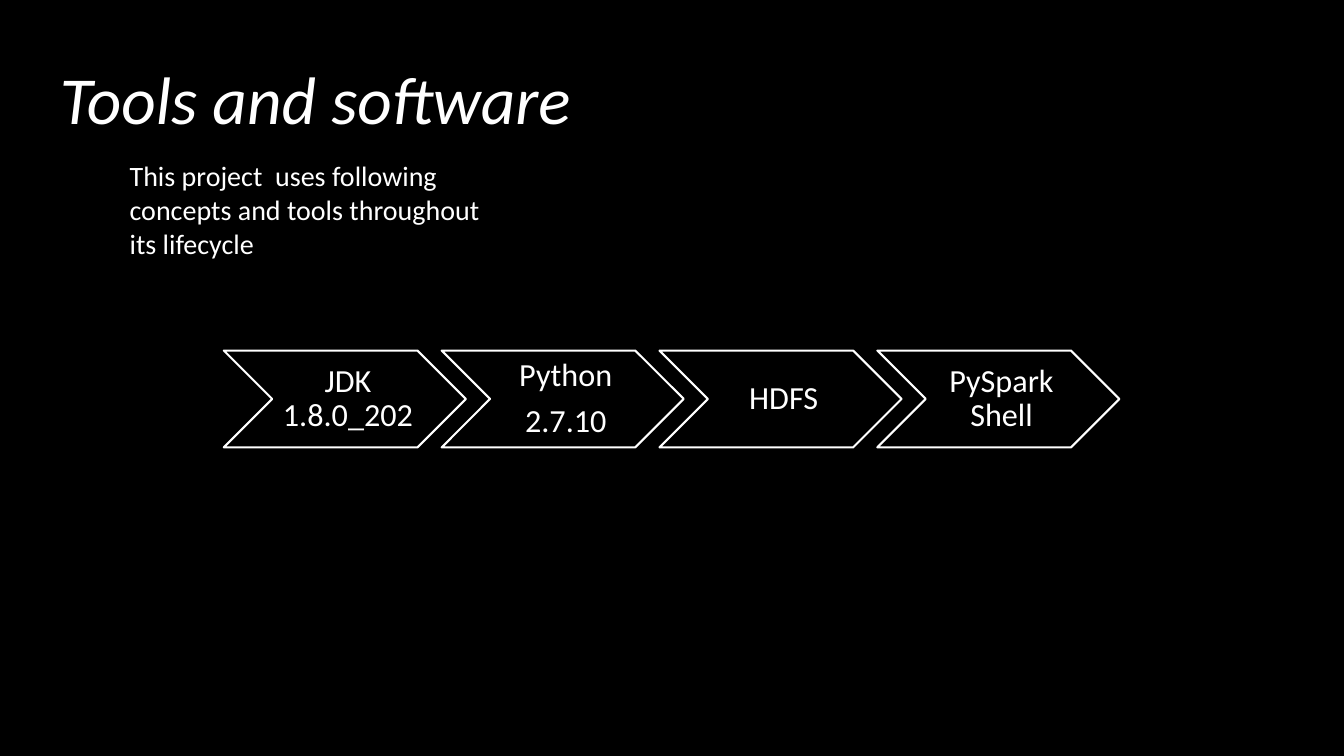
"""Build the "Tools and software" slide with its chain of chevrons."""
from pptx import Presentation
from pptx.dml.color import RGBColor
from pptx.enum.shapes import MSO_SHAPE
from pptx.enum.text import MSO_ANCHOR, PP_ALIGN
from pptx.util import Pt

CHEVRON = MSO_SHAPE.CHEVRON
BOTTOM, MIDDLE = MSO_ANCHOR.BOTTOM, MSO_ANCHOR.MIDDLE
LEFT, CENTER = PP_ALIGN.LEFT, PP_ALIGN.CENTER
COLORS = {"background": "000000", "foreground": "FFFFFF"}
WHITE = RGBColor.from_string(COLORS["foreground"])
TOOLS = ["JDK 1.8.0_202", "Python\n2.7.10", "HDFS", "PySpark Shell"]
INTRO = "This project  uses following\nconcepts and tools throughout\nits lifecycle"


def write(frame, text, size, align):
    frame.word_wrap = True
    frame.text = text
    for paragraph in frame.paragraphs:
        paragraph.alignment = align
        paragraph.font.name = "Calibri"
        paragraph.font.size = Pt(size)
        paragraph.font.color.rgb = WHITE


prs = Presentation()
prs.slide_width, prs.slide_height = Pt(960), Pt(540)
slide = prs.slides.add_slide(prs.slide_layouts[5])
slide.background.fill.solid()
slide.background.fill.fore_color.rgb = RGBColor.from_string(COLORS["background"])

title = slide.shapes.title
title.left, title.top, title.width, title.height = Pt(35.5), Pt(17.5), Pt(508), Pt(85.5)
write(title.text_frame, "Tools and software", 48, LEFT)
title.text_frame.vertical_anchor = BOTTOM
title.text_frame.paragraphs[0].font.italic = True
title.text_frame.paragraphs[0].line_spacing = 0.9

for index, tool in enumerate(TOOLS):
    step = slide.shapes.add_shape(
        CHEVRON, Pt(159.9 + index * 155.6), Pt(250.4), Pt(172.9), Pt(69.15))
    step.shadow.inherit = False
    step.fill.background()
    step.line.color.rgb = WHITE
    step.line.width = Pt(1.5)
    label = step.text_frame
    label.margin_left = Pt(7)
    label.margin_top = label.margin_right = label.margin_bottom = Pt(2.4)
    label.vertical_anchor = MIDDLE
    write(label, tool, 23, CENTER)
    for paragraph in label.paragraphs:
        paragraph.line_spacing = 0.9
        paragraph.space_after = Pt(8)

intro = slide.shapes.add_textbox(Pt(85.5), Pt(110), Pt(370), Pt(101.5))
write(intro.text_frame, INTRO, 20, LEFT)

prs.save("out.pptx")
